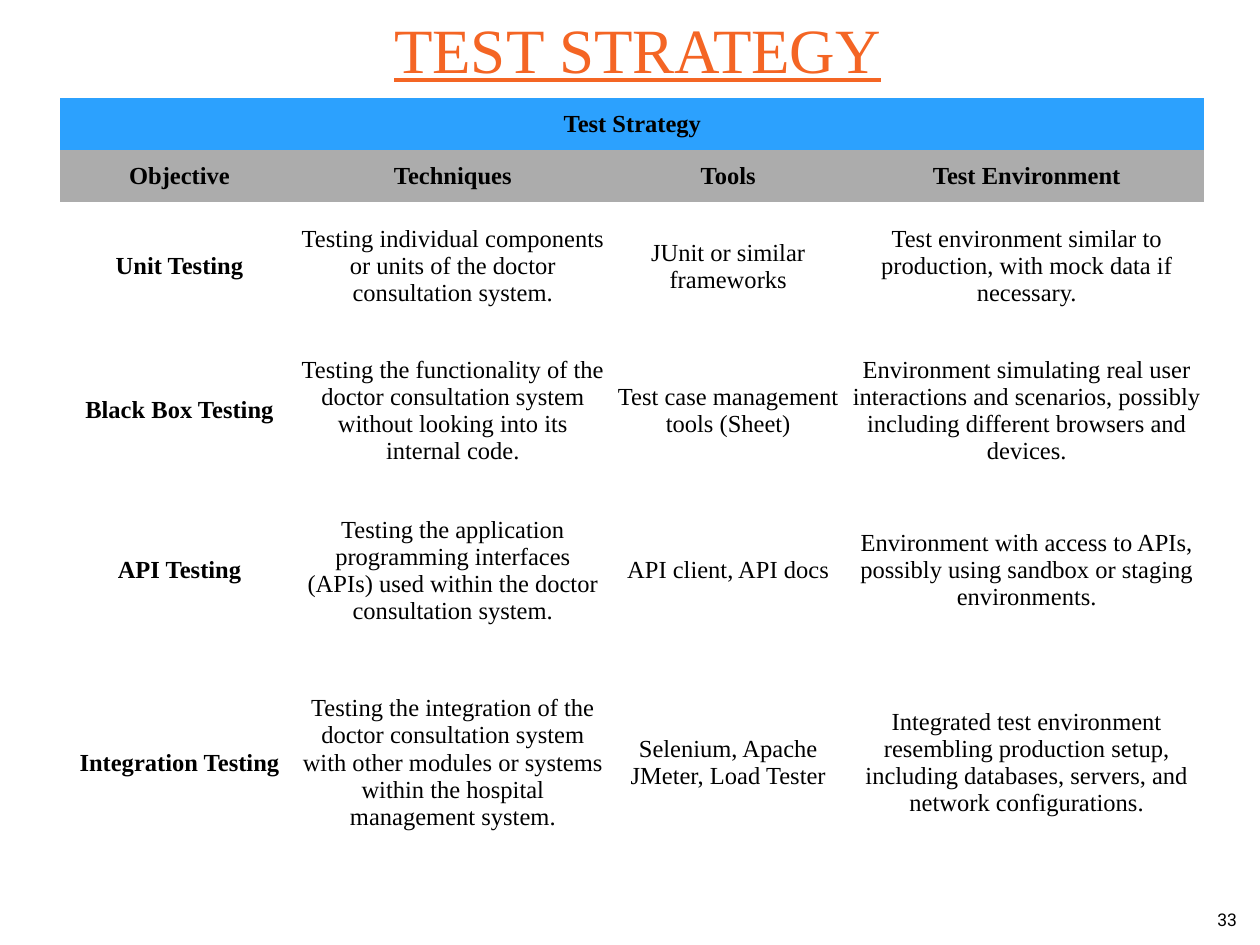
from typing import NamedTuple

from pptx import Presentation
from pptx.dml.color import RGBColor
from pptx.enum.text import MSO_ANCHOR, PP_ALIGN
from pptx.oxml.ns import qn
from pptx.util import Inches, Pt

SERIF = "Times New Roman"
BLACK = "000000"
BLUE = "2CA1FE"
GREY = "ACACAC"
ORANGE = "F46524"
PLAIN_TABLE_STYLE = "{2D5ABB26-0587-4C30-8999-92F81FD0307C}"


class TestLevel(NamedTuple):
    objective: str
    techniques: str
    tools: str
    environment: str


HEADINGS = TestLevel("Objective", "Techniques", "Tools", "Test Environment")
LEVELS = [
    TestLevel(
        "Unit Testing",
        "Testing individual components or units of the doctor consultation system.",
        "JUnit or similar frameworks",
        "Test environment similar to production, with mock data if necessary.",
    ),
    TestLevel(
        "Black Box Testing",
        "Testing the functionality of the doctor consultation system without "
        "looking into its internal code.",
        "Test case management tools (Sheet)",
        "Environment simulating real user interactions and scenarios, possibly "
        "including different browsers and devices.",
    ),
    TestLevel(
        "API Testing",
        "Testing the application programming interfaces (APIs) used within the "
        "doctor consultation system.",
        "API client, API docs",
        "Environment with access to APIs, possibly using sandbox or staging "
        "environments.",
    ),
    TestLevel(
        "Integration Testing",
        "Testing the integration of the doctor consultation system with other "
        "modules or systems within the hospital management system.",
        "Selenium, Apache JMeter, Load Tester",
        "Integrated test environment resembling production setup, including "
        "databases, servers, and network configurations.",
    ),
]
COLUMN_WIDTHS = [1.89, 2.45, 1.92, 2.82]
ROW_HEIGHTS = [0.41, 0.41, 1.02, 1.27, 1.27, 1.78]


def color(hex_code: str) -> RGBColor:
    return RGBColor.from_string(hex_code)


def write(frame, text: str, *, size: float = 14, font: str = SERIF,
          hex_code: str = BLACK, bold: bool = False, underline: bool = False,
          align=PP_ALIGN.CENTER) -> None:
    para = frame.paragraphs[0]
    para.alignment = align
    span = para.add_run()
    span.text = text
    span.font.size = Pt(size)
    span.font.name = font
    span.font.color.rgb = color(hex_code)
    span.font.bold = bold
    span.font.underline = underline


def add_box(page, left: float, top: float, width: float, height: float,
            text: str, *, anchor=MSO_ANCHOR.TOP, inset: float = 0.05,
            **text_format) -> None:
    box = page.shapes.add_textbox(Inches(left), Inches(top), Inches(width), Inches(height))
    frame = box.text_frame
    frame.word_wrap = True
    frame.vertical_anchor = anchor
    frame.margin_left = frame.margin_right = Inches(0.1)
    frame.margin_top = frame.margin_bottom = Inches(inset)
    write(frame, text, **text_format)


def fill_cell(cell, text: str, *, fill: str | None = None, bold: bool = False) -> None:
    cell.vertical_anchor = MSO_ANCHOR.MIDDLE
    cell.margin_left = cell.margin_right = cell.margin_top = Inches(0.01)
    cell.margin_bottom = 0
    if fill:
        cell.fill.solid()
        cell.fill.fore_color.rgb = color(fill)
    else:
        cell.fill.background()
    write(cell.text_frame, text, bold=bold)


def add_strategy_table(page) -> None:
    table = page.shapes.add_table(
        len(ROW_HEIGHTS), len(COLUMN_WIDTHS), Inches(0.48), Inches(0.78),
        Inches(sum(COLUMN_WIDTHS)), Inches(sum(ROW_HEIGHTS)),
    ).table
    table.first_row = table.horz_banding = False
    table._tbl.tblPr.find(qn("a:tableStyleId")).text = PLAIN_TABLE_STYLE
    for column, width in zip(table.columns, COLUMN_WIDTHS):
        column.width = Inches(width)
    for row, height in zip(table.rows, ROW_HEIGHTS):
        row.height = Inches(height)

    banner = table.cell(0, 0)
    banner.merge(table.cell(0, len(COLUMN_WIDTHS) - 1))
    fill_cell(banner, "Test Strategy", fill=BLUE, bold=True)
    for index, heading in enumerate(HEADINGS):
        fill_cell(table.cell(1, index), heading, fill=GREY, bold=True)
    for row_index, level in enumerate(LEVELS, start=2):
        for index, text in enumerate(level):
            fill_cell(table.cell(row_index, index), text, bold=index == 0)


def main() -> None:
    deck = Presentation()
    deck.slide_width = Inches(10)
    deck.slide_height = Inches(7.5)
    page = deck.slides.add_slide(deck.slide_layouts[6])
    add_box(page, 9.48, 7.1, 0.52, 0.4, "33", anchor=MSO_ANCHOR.MIDDLE,
            size=10, font="Roboto")
    add_box(page, 3.03, -0.02, 5.04, 0.81, "TEST STRATEGY", inset=0.1, size=36,
            hex_code=ORANGE, underline=True, align=PP_ALIGN.LEFT)
    add_strategy_table(page)
    deck.save("out.pptx")


if __name__ == "__main__":
    main()
